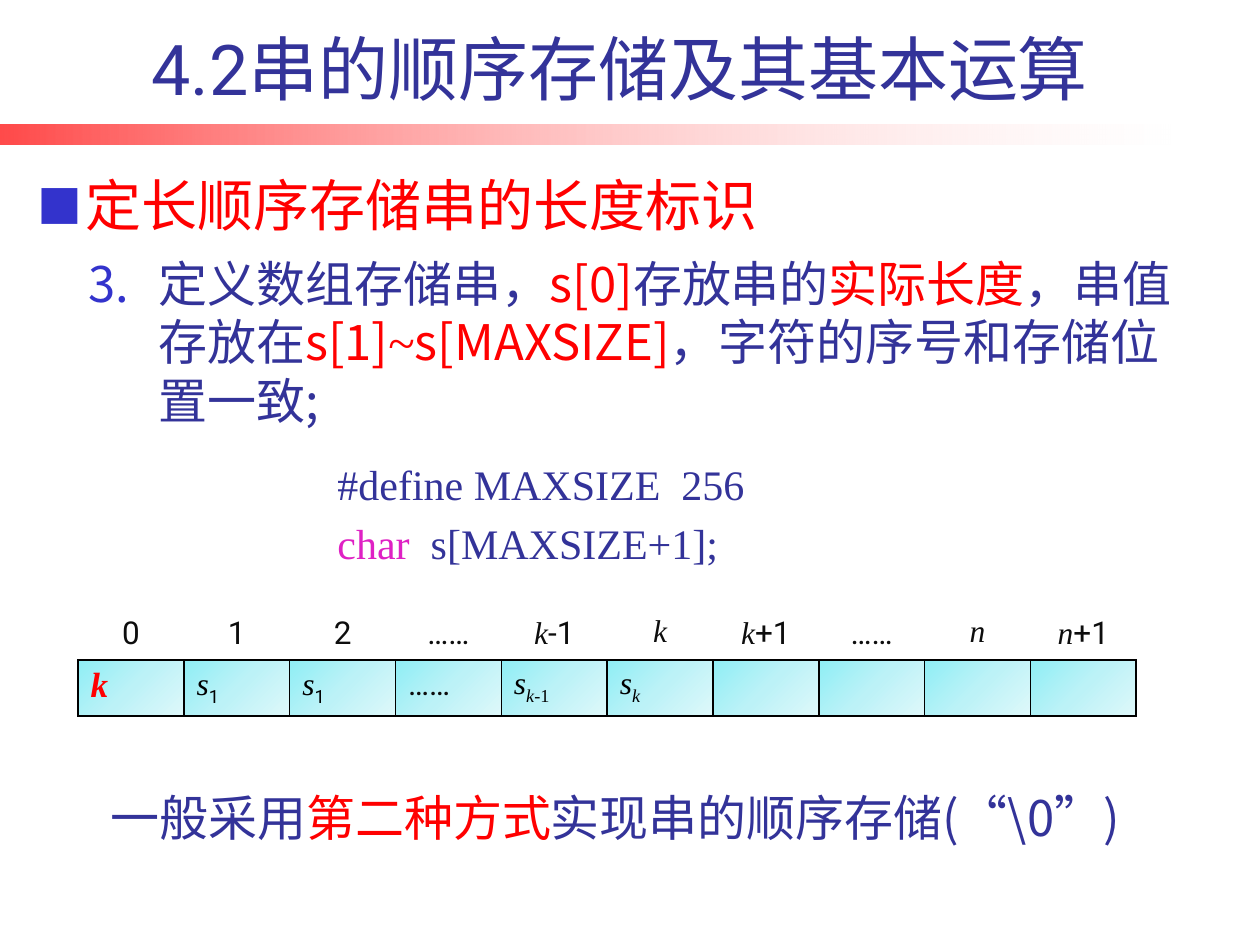
from dataclasses import dataclass
from typing import Optional

from lxml.etree import SubElement
from pptx import Presentation
from pptx.dml.color import RGBColor
from pptx.enum.shapes import MSO_SHAPE as Preset
from pptx.enum.text import MSO_ANCHOR as Anchor, PP_ALIGN as Align
from pptx.oxml import parse_xml
from pptx.oxml.ns import nsdecls, qn
from pptx.util import Inches, Pt

NAVY = RGBColor(0x33, 0x33, 0x99)
BLUE = RGBColor(0x33, 0x33, 0xCC)
RED = RGBColor(0xFF, 0x00, 0x00)
PINK = RGBColor(0xDF, 0x21, 0xC4)
BLACK = RGBColor(0x00, 0x00, 0x00)
INK = RGBColor(0x0D, 0x0D, 0x0D)
WHITE = RGBColor(0xFF, 0xFF, 0xFF)
CELL_STOPS = [
    (0, RGBColor(0x8F, 0xEE, 0xF5), 100),
    (50, RGBColor(0xBC, 0xF2, 0xF7), 100),
    (100, RGBColor(0xDE, 0xF8, 0xFA), 100),
]
BAR_STOPS = [(0, RED, 71), (100, WHITE, 18)]
SANS, HAN, SERIF = "Roboto", "Noto Sans CJK SC", "Times New Roman"


@dataclass
class Span:
    """A stretch of text with what differs from its paragraph."""
    text: str
    color: Optional[RGBColor] = None
    name: Optional[str] = None
    italic: Optional[bool] = None
    bold: Optional[bool] = None
    subscript: bool = False


def var(text, **changes):
    """Return an italic serif span for a variable name."""
    return Span(text, name=SERIF, italic=True, **changes)


def set_gradient(fill, element, stops, angle):
    """Fill with (position, colour, opacity) stops at a clockwise angle."""
    fill.gradient()
    fill.gradient_angle = -angle % 360
    stop_list = next(element.iter(qn("a:gsLst")))
    for stop in list(stop_list):
        stop_list.remove(stop)
    for position, color, opacity in stops:
        stop = SubElement(stop_list, qn("a:gs"), pos=str(position * 1000))
        tint = SubElement(stop, qn("a:srgbClr"), val=str(color))
        if opacity < 100:
            SubElement(tint, qn("a:alpha"), val=str(opacity * 1000))


def set_indent(para, left, first=0, level=0):
    """Set the left margin and first-line indent of a paragraph."""
    para.level = level
    props = para._p.get_or_add_pPr()
    props.set("marL", str(Inches(left)))
    props.set("indent", str(Inches(first)))


def set_space_before(para, percent):
    """Set the space before a paragraph as a share of its line."""
    space = SubElement(para._p.get_or_add_pPr(), qn("a:spcBef"))
    SubElement(space, qn("a:spcPct"), val=str(percent * 1000))


def set_bullet(para, kind, size=100, **settings):
    """Give a paragraph a blue bullet or number."""
    props = para._p.get_or_add_pPr()
    tint = SubElement(props, qn("a:buClr"))
    SubElement(tint, qn("a:srgbClr"), val=str(BLUE))
    SubElement(props, qn("a:buSzPct"), val=str(size * 1000))
    SubElement(props, qn("a:buFont"), typeface=HAN)
    SubElement(props, qn(kind), **settings)


def write(para, spans, size, name, color):
    """Write spans into a paragraph over one shared font."""
    para.font.size = Pt(size)
    para.font.name = name
    para.font.color.rgb = color
    for span in spans:
        run = para.add_run()
        run.text = span.text
        if span.color is not None:
            run.font.color.rgb = span.color
        if span.name:
            run.font.name = span.name
        if span.italic is not None:
            run.font.italic = span.italic
        if span.bold is not None:
            run.font.bold = span.bold
        if span.subscript:
            run._r.get_or_add_rPr().set("baseline", "-25000")
    for latin in list(para._p.iter(qn("a:latin"))):
        latin.addnext(parse_xml(
            f'<a:ea {nsdecls("a")} typeface="{latin.get("typeface")}"/>'))


def add_box(page, left, top, width, height, anchor=Anchor.TOP):
    """Add a wrapping text box and return its text frame."""
    box = page.shapes.add_textbox(
        Inches(left), Inches(top), Inches(width), Inches(height))
    frame = box.text_frame
    frame.word_wrap = True
    frame.vertical_anchor = anchor
    return frame


def add_bar(page):
    """Add the fading red bar under the title."""
    bar = page.shapes.add_shape(
        Preset.RECTANGLE, 0, Inches(0.99), Inches(9.29), Inches(0.16))
    bar.shadow.inherit = False
    bar.line.fill.background()
    set_gradient(bar.fill, bar._element, BAR_STOPS, 0)


def set_borders(cell, colors):
    """Draw one-point cell borders, colours given by side."""
    props = cell._tc.get_or_add_tcPr()
    for index, side in enumerate("LRTB"):
        props.insert(index, parse_xml(
            f'<a:ln{side} {nsdecls("a")} w="{Pt(1)}"><a:solidFill>'
            f'<a:srgbClr val="{colors[side]}"/></a:solidFill></a:ln{side}>'))


def add_storage_table(page):
    """Add the array: index labels above the stored characters."""
    dots = Span("……")
    sub_one = Span("1", subscript=True)
    labels = [
        [Span("0")], [Span("1")], [Span("2")], [dots],
        [var("k"), Span("-1")], [var("k")], [var("k"), Span("+1")],
        [dots], [var("n")], [var("n"), Span("+1")],
    ]
    stored = [
        [var("k", color=RED, bold=True)],
        [var("s"), sub_one], [var("s"), sub_one], [Span("……", INK)],
        [var("s"), var("k-", subscript=True),
         Span("1", name=SERIF, subscript=True)],
        [var("s"), var("k", subscript=True)],
    ]
    stored += [[]] * (len(labels) - len(stored))
    table = page.shapes.add_table(
        2, len(labels), Inches(0.62), Inches(4.83),
        Inches(8.4), Inches(0.84)).table
    table.first_row = table.horz_banding = False
    table.rows[0].height, table.rows[1].height = Inches(0.41), Inches(0.43)
    for column, (label, value) in enumerate(zip(labels, stored)):
        head, slot = table.cell(0, column), table.cell(1, column)
        head.fill.background()
        set_borders(head, {**dict.fromkeys("LRT", WHITE), "B": BLACK})
        para = head.text_frame.paragraphs[0]
        para.alignment = Align.CENTER
        write(para, label, 18, SANS, INK)
        set_gradient(slot.fill, slot._tc, CELL_STOPS, 45)
        set_borders(slot, dict.fromkeys("LRTB", BLACK))
        size = 20 if column == 0 else 18
        write(slot.text_frame.paragraphs[0], value, size, SANS, BLACK)


def add_texts(page):
    """Add the title, heading, code, numbered point and remark."""
    title = add_box(page, 0.59, 0.21, 8.52, 0.71, Anchor.BOTTOM).paragraphs[0]
    title.alignment = Align.CENTER
    write(title, [Span(" 4.2串的顺序存储及其基本运算")], 40, SANS, NAVY)

    heading = add_box(page, 0.2, 1.23, 6.31, 0.71, Anchor.BOTTOM).paragraphs[0]
    heading.line_spacing = 1.15
    set_indent(heading, 0.38, -0.38)
    set_space_before(heading, 20)
    set_bullet(heading, "a:buChar", 80, char="■")
    write(heading, [Span("定长顺序存储串的长度标识")], 32, HAN, RED)

    code = add_box(page, 2.58, 3.59, 4.57, 1.18)
    lines = [[Span("#define MAXSIZE  256 ")],
             [Span("char  ", PINK), Span("s[MAXSIZE+1];")]]
    for index, spans in enumerate(lines):
        para = code.add_paragraph() if index else code.paragraphs[0]
        set_space_before(para, 20)
        write(para, spans, 24, SERIF, NAVY)

    point = add_box(page, 0.43, 1.96, 9.21, 1.57).paragraphs[0]
    set_indent(point, 0.73, -0.56, level=1)
    set_space_before(point, 10)
    set_bullet(point, "a:buAutoNum", type="arabicPeriod", startAt="3")
    write(point, [
        Span("定义数组存储串，"), Span("s[0]", RED), Span("存放串的"),
        Span("实际长度", RED), Span("，串值存放在"), Span("s[1]", RED),
        Span("~", RED, SERIF), Span("s[MAXSIZE]", RED),
        Span("，字符的序号和存储位置一致;")], 28, HAN, NAVY)

    remark = add_box(page, 0.61, 6.2, 8.5, 0.57).paragraphs[0]
    set_indent(remark, 0.17, level=1)
    set_space_before(remark, 10)
    write(remark, [
        Span("一般采用"), Span("第二种方式", RED),
        Span("实现串的顺序存储(“\\0”)")], 28, HAN, NAVY)


def main():
    """Build the slide and save the deck."""
    deck = Presentation()
    deck.slide_width, deck.slide_height = Inches(10), Inches(7.5)
    page = deck.slides.add_slide(deck.slide_layouts[6])
    add_bar(page)
    add_texts(page)
    add_storage_table(page)
    deck.save("out.pptx")


main()
